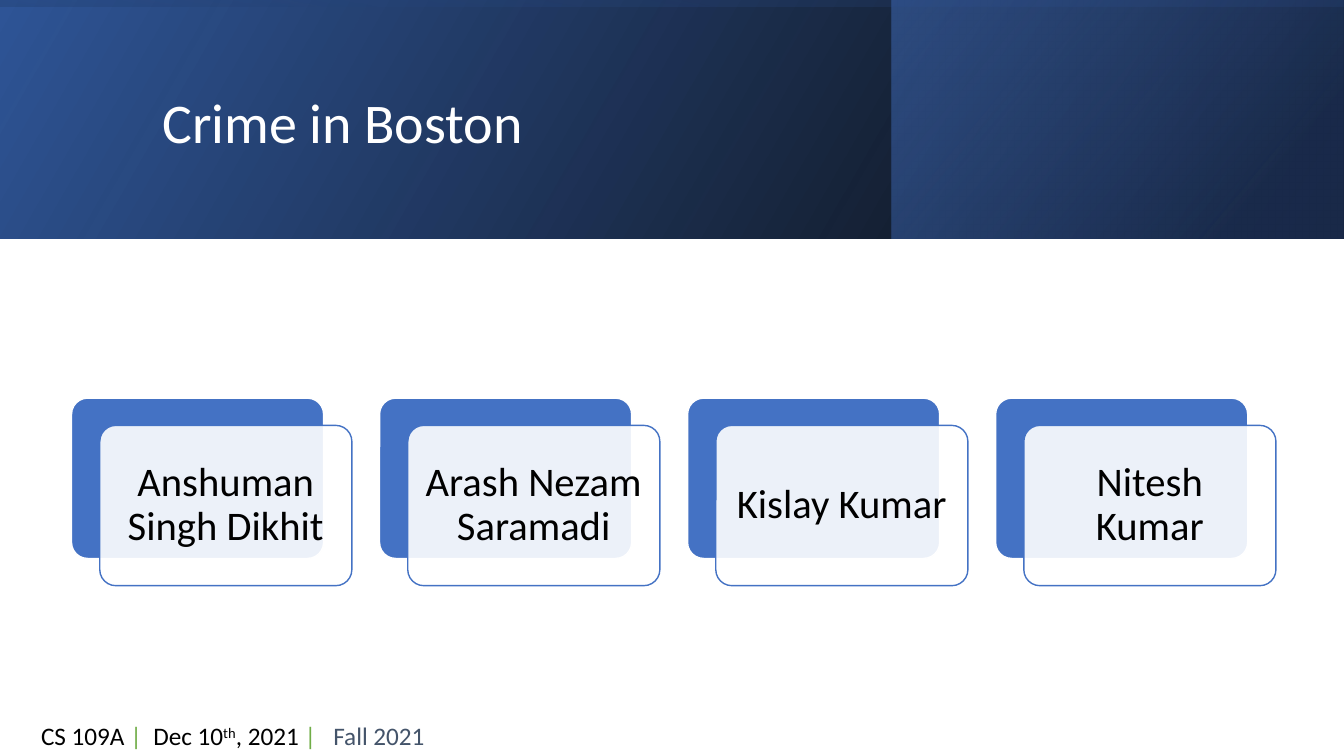
from pptx import Presentation
from pptx.dml.color import RGBColor
from pptx.enum.shapes import MSO_SHAPE
from pptx.enum.text import MSO_ANCHOR, MSO_AUTO_SIZE, PP_ALIGN
from pptx.oxml.ns import qn
from pptx.util import Inches, Pt
from lxml import etree

RECT, ROUNDED = MSO_SHAPE.RECTANGLE, MSO_SHAPE.ROUNDED_RECTANGLE
LEFT, CENTER, RIGHT = PP_ALIGN.LEFT, PP_ALIGN.CENTER, PP_ALIGN.RIGHT
MIDDLE, TOP = MSO_ANCHOR.MIDDLE, MSO_ANCHOR.TOP
NO_FIT, GROW = MSO_AUTO_SIZE.NONE, MSO_AUTO_SIZE.SHAPE_TO_FIT_TEXT

# Content
TITLE = "Crime in Boston"
AUTHORS = ["Anshuman Singh Dikhit", "Arash Nezam Saramadi", "Kislay Kumar", "Nitesh Kumar"]
BLACK, WHITE, BLUE, GREEN, SLATE = "000000", "FFFFFF", "4472C4", "70AD47", "44546A"
# Footer runs: text, colour, superscript
FOOTER = [
    ("CS 109A ", BLACK, False),
    ("|  ", GREEN, False),
    ("Dec 10", BLACK, False),
    ("th", BLACK, True),
    (", 2021 ", BLACK, False),
    ("|   ", GREEN, False),
    ("Fall 2021", SLATE, False),
]
# Header bands: box, rotation, clockwise gradient angle, stops (position, colour, opacity %)
HEADER_BANDS = [
    ((0, 0, 13.33, 2.37), 0, 330, [(0, BLACK, 96), (1, "2F5597", 100)]),
    ((8.84, 0, 4.48, 2.37), 0, 320, [(0.19, "203864", 68), (1, BLUE, 48)]),
    ((5.48, -5.48, 2.37, 13.33), 270, 350, [(0.23, "2F5597", 16), (0.99, BLACK, 45)]),
]

# Author cards
CARD_LEFT, CARD_TOP, CARD_PITCH = 0.71, 3.95, 3.055
CARD_W, CARD_H = 2.5, 1.59
CARD_OFFSET_X, CARD_OFFSET_Y = 0.28, 0.27


def rgb(value):
    return RGBColor.from_string(value)


def set_opacity(fill_xml, percent):
    for color in fill_xml.iter(qn("a:srgbClr")):
        etree.SubElement(color, qn("a:alpha")).set("val", str(percent * 1000))


def write(shape, text, size, color=BLACK, align=LEFT, anchor=TOP, spacing=None,
          after=None, inset=None, fit=NO_FIT):
    """Write a string, or a list of (text, colour, superscript) runs."""
    frame = shape.text_frame
    frame.word_wrap = True
    frame.auto_size = fit
    frame.vertical_anchor = anchor
    if inset is not None:
        frame.margin_left = frame.margin_right = Inches(inset)
        frame.margin_top = frame.margin_bottom = Inches(inset)
    paragraph = frame.paragraphs[0]
    paragraph.alignment = align
    paragraph.line_spacing = spacing
    if after is not None:
        paragraph.space_after = Pt(after)
    runs = [(text, color, False)] if isinstance(text, str) else text
    for words, run_color, superscript in runs:
        run = paragraph.add_run()
        run.text = words
        run.font.name = "Calibri"
        run.font.size = Pt(size)
        run.font.color.rgb = rgb(run_color)
        if superscript:
            run.font._element.set("baseline", "30000")


def add_band(slide, box, rotation, angle, stops):
    band = slide.shapes.add_shape(RECT, *map(Inches, box))
    band.shadow.inherit = False
    band.line.fill.background()
    band.rotation = rotation
    band._element.spPr.find(qn("a:xfrm")).set("flipH", "1")
    band.fill.gradient()
    band.fill.gradient_angle = 360 - angle
    for stop, (position, color, opacity) in zip(band.fill.gradient_stops, stops):
        stop.position = position
        stop.color.rgb = rgb(color)
        set_opacity(stop._gs, opacity)


def add_card(slide, left, top, fill, line):
    card = slide.shapes.add_shape(ROUNDED, Inches(left), Inches(top),
                                  Inches(CARD_W), Inches(CARD_H))
    card.adjustments[0] = 0.1
    card.shadow.inherit = False
    card.fill.solid()
    card.fill.fore_color.rgb = rgb(fill)
    card.line.color.rgb = rgb(line)
    card.line.width = Pt(1)
    return card


def main():
    deck = Presentation()
    deck.slide_width, deck.slide_height = Inches(13.33), Inches(7.5)
    slide = deck.slides.add_slide(deck.slide_layouts[0])
    subtitle = slide.placeholders[1]._element
    subtitle.getparent().remove(subtitle)

    # Header
    for band in HEADER_BANDS:
        add_band(slide, *band)

    # Title, brought in front of the header
    title = slide.shapes.title
    title.left, title.top = Inches(1.51), Inches(0.38)
    title.width, title.height = Inches(10.63), Inches(1.72)
    write(title, TITLE, 40, color=WHITE, anchor=MIDDLE, spacing=0.9)
    slide.shapes._spTree.append(title._element)

    # Footer
    footer = slide.shapes.add_textbox(0, Inches(7.1), Inches(4.31), Inches(0.4))
    write(footer, FOOTER, 18, align=RIGHT, after=6, fit=GROW)

    # One pair of overlapping cards per author
    for index, author in enumerate(AUTHORS):
        left = CARD_LEFT + index * CARD_PITCH
        add_card(slide, left, CARD_TOP, BLUE, WHITE)
        name_card = add_card(slide, left + CARD_OFFSET_X, CARD_TOP + CARD_OFFSET_Y, WHITE, BLUE)
        set_opacity(name_card._element.spPr.find(qn("a:solidFill")), 90)
        write(name_card, author, 29, align=CENTER, anchor=MIDDLE, spacing=0.9, inset=0.12)

    deck.save("out.pptx")


if __name__ == "__main__":
    main()
